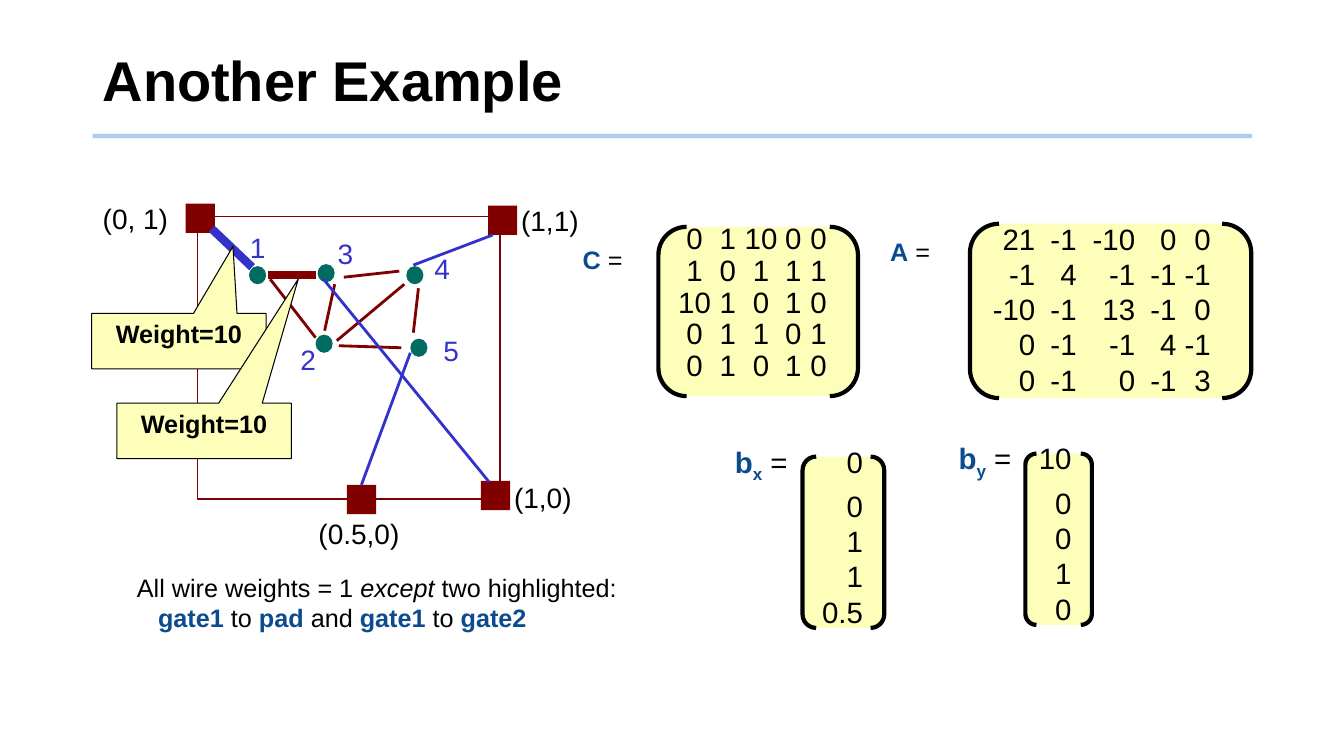
import pptx
import pptx.util
import pptx.dml.color
import pptx.enum.shapes
import pptx.enum.text
import pptx.oxml.ns
import lxml.etree

Inches, Pt = pptx.util.Inches, pptx.util.Pt
SHAPE = pptx.enum.shapes.MSO_SHAPE
ALIGN = pptx.enum.text.PP_ALIGN
ANCHOR = pptx.enum.text.MSO_ANCHOR
qn = pptx.oxml.ns.qn

COLORS = {"black": "000000", "maroon": "800000", "blue": "3333CC", "teal": "006B61",
          "navy": "0B4B8E", "yellow": "FCFEB9", "rule": "5B9BD5"}
KEY = {"color": "navy", "bold": True}


def rgb(name):
    return pptx.dml.color.RGBColor.from_string(COLORS[name])


def add_run(p, text, size=18, color="black", bold=False, italic=False, baseline=0):
    r = p.add_run()
    r.text = text
    r.font.name, r.font.size = "Arial", Pt(size)
    r.font.bold, r.font.italic = bold, italic
    r.font.color.rgb = rgb(color)
    if baseline:
        r.font._element.set("baseline", str(baseline * 1000))


def add_text(s, x, y, w, h, wrap=False):
    sp = s.shapes.add_textbox(Inches(x), Inches(y), Inches(w), Inches(h))
    tf = sp.text_frame
    tf.word_wrap = wrap
    return tf


def add_label(s, x, y, w, text, **fmt):
    add_run(add_text(s, x, y, w, 0.43).paragraphs[0], text, **fmt)


def add_shape(s, kind, x, y, w, h, fill=None, line=None, width=1):
    sp = s.shapes.add_shape(kind, Inches(x), Inches(y), Inches(w), Inches(h))
    sp.shadow.inherit = False
    if fill:
        sp.fill.solid()
        sp.fill.fore_color.rgb = rgb(fill)
    else:
        sp.fill.background()
    if line:
        sp.line.color.rgb = rgb(line)
        sp.line.width = Pt(width)
    else:
        sp.line.fill.background()
    return sp


def add_line(s, x1, y1, x2, y2, color, width):
    c = s.shapes.add_connector(pptx.enum.shapes.MSO_CONNECTOR.STRAIGHT,
                               Inches(x1), Inches(y1), Inches(x2), Inches(y2))
    c.line.color.rgb = rgb(color)
    c.line.width = Pt(width)
    lxml.etree.SubElement(c._element.spPr, qn("a:effectLst"))
    return c


def add_tabs(p, stops, align):
    tabs = lxml.etree.SubElement(p._p.get_or_add_pPr(), qn("a:tabLst"))
    for stop in stops:
        lxml.etree.SubElement(tabs, qn("a:tab"), pos=str(Inches(stop)), algn=align)


def add_header(s, x, y, w, h):
    rule = add_line(s, x, y + 1.07, x + w, y + 1.07, "rule", 3)
    color = rule.line._ln.find(".//" + qn("a:srgbClr"))
    lxml.etree.SubElement(color, qn("a:alpha"), val="50000")
    tf = add_text(s, x, y, w, h, wrap=True)
    tf.vertical_anchor = ANCHOR.MIDDLE
    tf.paragraphs[0].line_spacing = 0.9
    add_run(tf.paragraphs[0], "Another Example", size=40, bold=True)


def add_circuit(s, x, y, w, h):
    """Pads on the frame, gates inside it and the wires between them."""
    add_shape(s, SHAPE.RECTANGLE, x, y, w, h, line="maroon")

    # Pads: offset of the square, then offset and width of its label
    pads = {}
    for text, dx, dy, tx, ty, tw in [("(0, 1)", -0.12, -0.13, -1.04, -0.2, 0.85),
                                     ("(1,1)", 2.88, -0.11, 3.11, -0.18, 0.77),
                                     ("(1,0)", 2.81, 2.62, 3.04, 2.57, 0.77),
                                     ("(0.5,0)", 1.48, 2.66, 1.1, 2.93, 1.01)]:
        pads[text] = add_shape(s, SHAPE.RECTANGLE, x + dx, y + dy, 0.29, 0.29, "maroon")
        add_label(s, x + tx, y + ty, tw, text, size=20)

    # Gates: offset of the dot, then of its number
    for number, (dx, dy, tx, ty) in enumerate([(0.51, 0.49, 0.42, 0.09),
                                               (1.17, 1.17, 0.92, 1.2),
                                               (1.19, 0.47, 1.29, 0.15),
                                               (2.07, 0.49, 2.25, 0.3),
                                               (2.11, 1.21, 2.34, 1.11)], 1):
        add_shape(s, SHAPE.OVAL, x + dx, y + dy, 0.17, 0.18, "teal")
        add_label(s, x + tx, y + ty, 0.36, str(number), size=20, color="blue")

    # Wires between gates are maroon, wires to pads are blue
    for x1, y1, x2, y2, color, width in [(0.72, 0.62, 1.17, 1.2, "maroon", 2),
                                         (0.7, 0.58, 1.17, 0.58, "maroon", 6),
                                         (1.45, 0.6, 2, 0.54, "maroon", 2),
                                         (1.4, 1.28, 2.02, 1.3, "maroon", 2),
                                         (1.38, 1.23, 2.05, 0.67, "maroon", 2),
                                         (1.36, 0.67, 1.26, 1.13, "maroon", 2),
                                         (2.19, 0.71, 2.14, 1.15, "maroon", 2),
                                         (0.54, 0.5, 0.14, 0.12, "blue", 6),
                                         (2.89, 2.63, 1.24, 0.61, "blue", 2),
                                         (2.93, 0.18, 2.14, 0.48, "blue", 2)]:
        add_line(s, x + x1, y + y1, x + x2, y + y2, color, width)
    wire = add_line(s, x + 1.62, y + 2.66, x + 2.11, y + 1.35, "blue", 2)
    wire.begin_connect(pads["(0.5,0)"], 0)

    # Callouts for the two heavy wires
    for dx, dy, tip in [(-1.05, 0.96, (0.31, -1.71)), (-0.8, 1.85, (0.54, -2.74))]:
        sp = add_shape(s, SHAPE.RECTANGULAR_CALLOUT, x + dx, y + dy, 1.73, 0.55,
                       "yellow", "black", 0.75)
        sp.adjustments[0], sp.adjustments[1] = tip
        tf = sp.text_frame
        tf.vertical_anchor = ANCHOR.TOP
        tf.paragraphs[0].alignment = ALIGN.CENTER
        add_run(tf.paragraphs[0], "Weight=10", bold=True)


def add_caption(s, x, y, w, h):
    tf = add_text(s, x, y, w, h)
    lines = [[("All wire weights = 1 ", {}), ("except", {"italic": True}),
              (" two highlighted:", {})],
             [("gate1 ", KEY), ("to ", {}), ("pad", KEY), (" and ", {}),
              ("gate1 ", KEY), ("to ", {}), ("gate2", KEY)]]
    for i, line in enumerate(lines):
        p = tf.add_paragraph() if i else tf.paragraphs[0]
        p.line_spacing = Pt(21.4)
        p._p.get_or_add_pPr().set("marL", str(Inches(0.21 * i)))
        for text, fmt in line:
            add_run(p, text, **fmt)


def add_brackets(s, x, y, w, h):
    add_shape(s, SHAPE.DOUBLE_BRACKET, x, y, w, h, "yellow", "black", 3)


def add_matrix(s, x, y, w, h, name, name_at, rows, stops, align, pitch):
    add_brackets(s, x, y, w, h)
    tf = add_text(s, x, y - 0.08, w, h, wrap=True)
    for i, row in enumerate(rows):
        p = tf.add_paragraph() if i else tf.paragraphs[0]
        p.line_spacing = Pt(pitch)
        add_tabs(p, stops, align)
        add_run(p, "".join("\t" + cell for cell in row.split()), size=21)
    p = add_text(s, *name_at, 0.67, 0.4).paragraphs[0]
    add_run(p, name, **KEY)
    add_run(p, " =")


def add_vector(s, x, y, w, h, axis, text_left, stop, values):
    add_brackets(s, x, y, w, h)
    tf = add_text(s, text_left, y - 0.13, 1.5, h, wrap=True)
    for i, value in enumerate(values.split()):
        p = tf.add_paragraph() if i else tf.paragraphs[0]
        p.line_spacing = Pt(25.2)
        p.space_after = Pt(0 if i else 3)
        add_tabs(p, [stop], "r")
        if i == 0:
            add_run(p, "b", size=21, **KEY)
            add_run(p, axis, size=21, baseline=-25, **KEY)
            add_run(p, " =", size=21)
        add_run(p, "\t" + value, size=21)


def main():
    prs = pptx.Presentation()
    prs.slide_width, prs.slide_height = Inches(13.33), Inches(7.5)
    s = prs.slides.add_slide(prs.slide_layouts[6])

    add_header(s, 0.92, 0.28, 11.5, 1.1)
    add_circuit(s, 1.96, 2.15, 3, 2.8)
    add_caption(s, 1.26, 5.63, 5.01, 0.71)
    add_matrix(s, 6.53, 2.25, 1.98, 1.68, "C", (5.68, 2.37),
               ["0 1 10 0 0", "1 0 1 1 1", "10 1 0 1 0", "0 1 1 0 1", "0 1 0 1 0"],
               [0.26, 0.59, 0.92, 1.24, 1.49], "ctr", 22.7)
    add_matrix(s, 9.62, 2.22, 2.79, 1.73, "A", (8.73, 2.3),
               ["21 -1 -10 0 0", "-1 4 -1 -1 -1", "-10 -1 13 -1 0",
                "0 -1 -1 4 -1", "0 -1 0 -1 3"],
               [0.55, 0.96, 1.54, 1.95, 2.29], "r", 25.2)
    add_vector(s, 7.96, 4.53, 0.81, 1.7, "x", 7.19, 1.27, "0 0 1 1 0.5")
    add_vector(s, 10.17, 4.5, 0.66, 1.7, "y", 9.41, 1.12, "10 0 0 1 0")
    prs.save("out.pptx")


if __name__ == "__main__":
    main()
